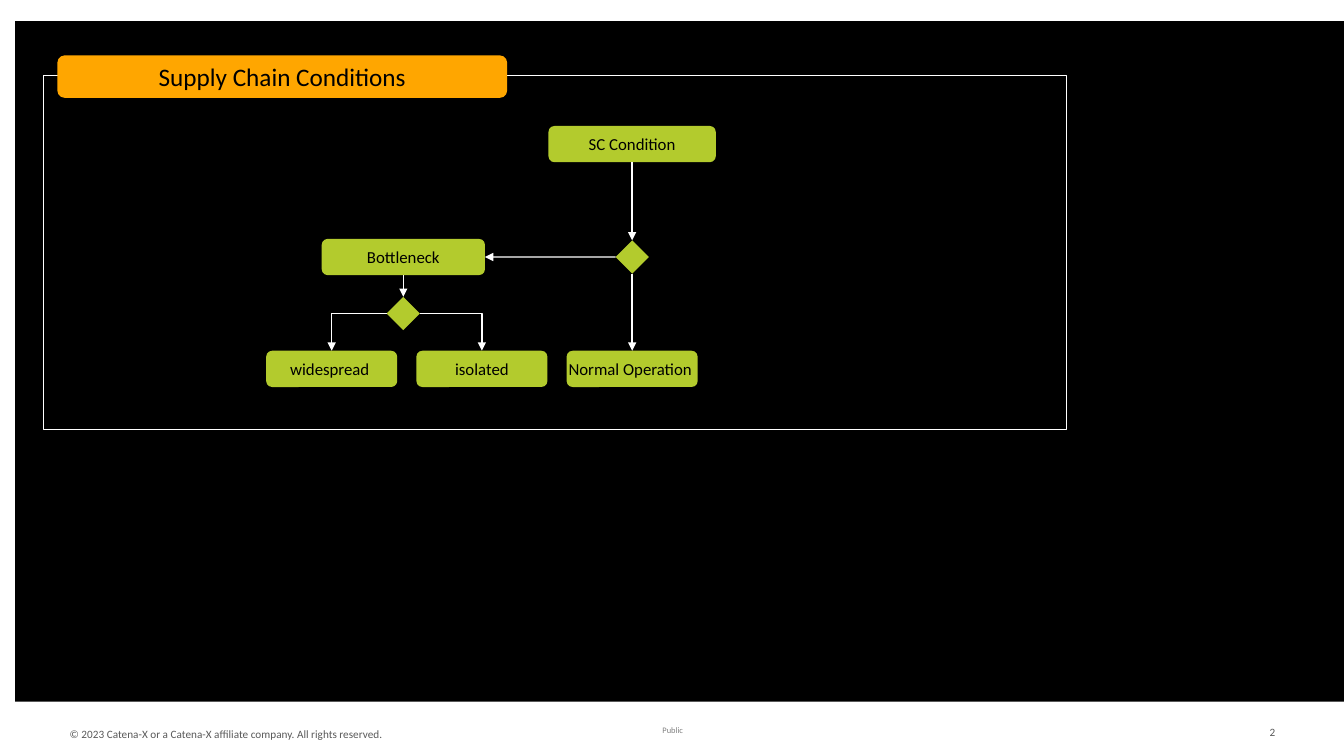
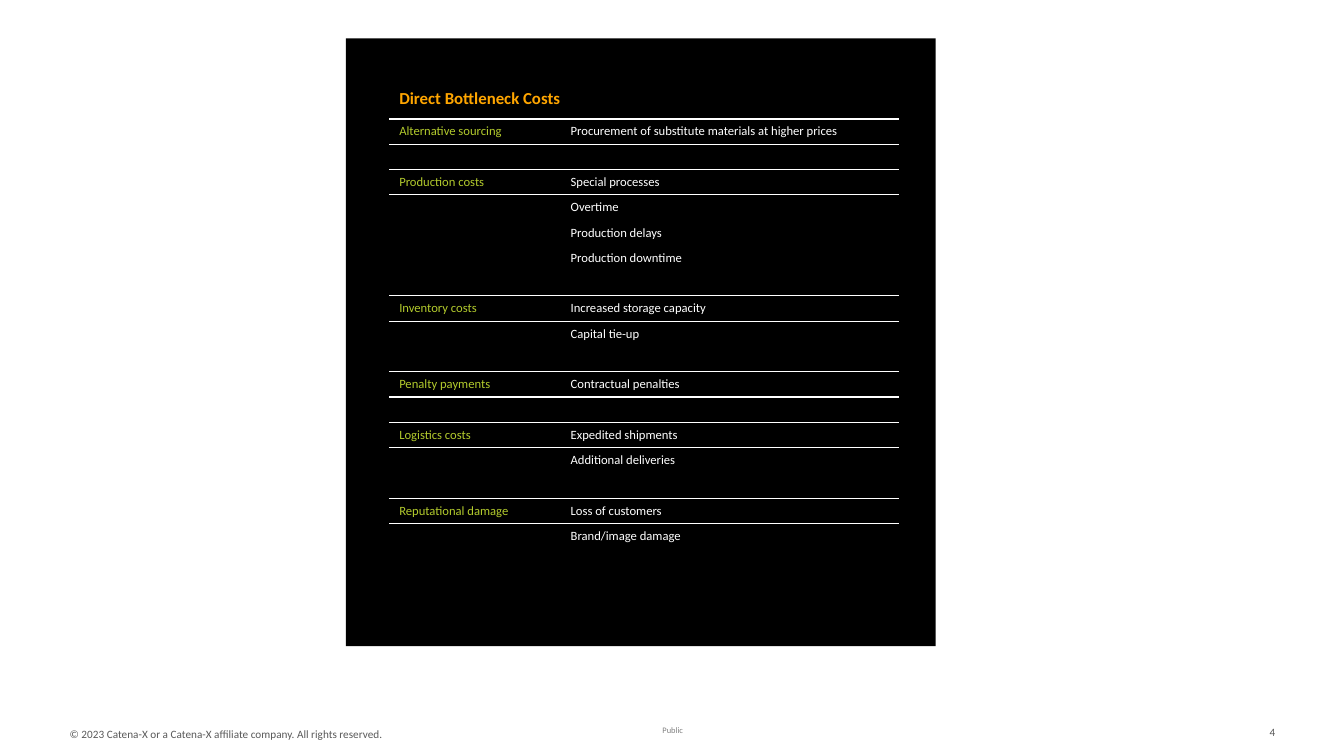
"""Build two slides on supply chain conditions and bottleneck costs."""
from lxml.etree import SubElement
from pptx import Presentation
from pptx.dml.color import RGBColor
from pptx.enum.shapes import MSO_CONNECTOR, MSO_SHAPE
from pptx.enum.text import MSO_ANCHOR, PP_ALIGN
from pptx.oxml import parse_xml
from pptx.oxml.ns import nsdecls, qn
from pptx.util import Inches, Pt

FONT = "Calibri"
HUES = {"black": "000000", "white": "FFFFFF", "orange": "FFA600",
        "green": "B3CB2D", "gray": "595959", "pale": "808080"}
PLAIN = "{2D5ABB26-0587-4C30-8999-92F81FD0307C}"
RIGHTS = "© 2023 Catena-X or a Catena-X affiliate company. All rights reserved."
TITLE = "Supply Chain Conditions"
NODES = {
    "root": ("SC Condition", 6.27, 1.43, 1.66),
    "state": ("", 6.27, 2.55, 0.33),
    "normal": ("Normal Operation ", 6.27, 3.66, 1.3),
    "neck": ("Bottleneck", 4, 2.55, 1.62),
    "reach": ("", 4, 3.11, 0.33),
    "wide": ("widespread ", 3.29, 3.66, 1.3),
    "single": ("isolated", 4.78, 3.66, 1.3),
}
TOP, LEFT, BOTTOM, RIGHT = range(4)
LINKS = [
    ("root", BOTTOM, "state", TOP),
    ("state", BOTTOM, "normal", TOP),
    ("state", LEFT, "neck", RIGHT),
    ("neck", BOTTOM, "reach", TOP),
    ("reach", LEFT, "wide", TOP),
    ("reach", RIGHT, "single", TOP),
]
HEAD = "Direct Bottleneck Costs"
COSTS = [
    ("Alternative sourcing",
     ["Procurement of substitute materials at higher prices"]),
    ("Production costs", ["Special processes", "Overtime",
                          "Production delays", "Production downtime"]),
    ("Inventory costs", ["Increased storage capacity", "Capital tie-up"]),
    ("Penalty payments", ["Contractual penalties"]),
    ("Logistics costs", ["Expedited shipments", "Additional deliveries"]),
    ("Reputational damage", ["Loss of customers", "Brand/image damage"]),
]
COLS = [1.7, 3.36]
HIGH, LOW = 0.35, 0.25


def hue(name):
    return RGBColor.from_string(HUES[name])


def write(frame, text, size=12, color="black", bold=False, align=PP_ALIGN.LEFT):
    para = frame.paragraphs[0]
    para.alignment = align
    if not text:
        para._p.get_or_add_endParaRPr().set("sz", str(size * 100))
        return
    run = para.add_run()
    run.text = text
    font = run.font
    font.name, font.size, font.bold = FONT, Pt(size), bold
    font.color.rgb = hue(color)


def label(slide, box, text, wrap=True, anchor=MSO_ANCHOR.MIDDLE, **form):
    frame = slide.shapes.add_textbox(*map(Inches, box)).text_frame
    frame.margin_left = frame.margin_right = 0
    frame.margin_top = frame.margin_bottom = 0
    frame.word_wrap, frame.vertical_anchor = wrap, anchor
    write(frame, text, **form)


def block(slide, kind, box, fill=None, line=None, text="", **form):
    shape = slide.shapes.add_shape(kind, *map(Inches, box))
    shape.shadow.inherit = False
    if fill:
        shape.fill.solid()
        shape.fill.fore_color.rgb = hue(fill)
    else:
        shape.fill.background()
    if line:
        shape.line.color.rgb = hue(line)
        shape.line.width = Pt(1)
    else:
        shape.line.fill.background()
    if text:
        frame = shape.text_frame
        frame.margin_left = frame.margin_right = 0
        frame.vertical_anchor = MSO_ANCHOR.MIDDLE
        write(frame, text, align=PP_ALIGN.CENTER, **form)
    return shape


def start(deck, panel, number):
    slide = deck.slides.add_slide(deck.slide_layouts[6])
    label(slide, (6.57, 7.19, 0.22, 0.1), "Public", wrap=False,
          anchor=MSO_ANCHOR.TOP, size=6, color="pale")
    block(slide, MSO_SHAPE.RECTANGLE, panel, "black")
    label(slide, (0.69, 7.1, 5.98, 0.36), RIGHTS, size=8, color="gray")
    label(slide, (9.65, 7.06, 3, 0.4), number, size=8, color="gray",
          align=PP_ALIGN.RIGHT)
    return slide


def link(slide, tail, exit, head, entry):
    bent = exit % 2 != entry % 2
    kind = MSO_CONNECTOR.ELBOW if bent else MSO_CONNECTOR.STRAIGHT
    line = slide.shapes.add_connector(kind, 0, 0, 0, 0)
    line.begin_connect(tail, exit)
    line.end_connect(head, entry)
    line.line.color.rgb = hue("white")
    line.line.width = Pt(1)
    props = line._element.spPr
    if bent:
        props.find(qn("a:prstGeom")).set("prst", "bentConnector2")
    SubElement(props.find(qn("a:ln")), qn("a:tailEnd"), type="triangle")
    SubElement(props, qn("a:effectLst"))


def flow(deck):
    slide = start(deck, (0.15, 0.21, 13.18, 6.75), "2")
    block(slide, MSO_SHAPE.RECTANGLE, (0.43, 0.75, 10.15, 3.51), line="white")
    block(slide, MSO_SHAPE.ROUNDED_RECTANGLE, (0.57, 0.55, 4.46, 0.42),
          "orange", text=TITLE, size=18)
    made = {}
    for name, (text, mid, row, wide) in NODES.items():
        kind = MSO_SHAPE.ROUNDED_RECTANGLE if text else MSO_SHAPE.DIAMOND
        high = 0.36 if text else wide
        box = (mid - wide / 2, row - high / 2, wide, high)
        made[name] = block(slide, kind, box, "green", text=text)
    for tail, exit, head, entry in LINKS:
        link(slide, made[tail], exit, made[head], entry)


def rule(cell, sides):
    props = cell._tc.get_or_add_tcPr()
    for spot, side in enumerate(sides):
        props.insert(spot, parse_xml(
            f'<a:ln{side} {nsdecls("a")} w="12700"><a:solidFill>'
            f'<a:srgbClr val="{HUES["white"]}"/></a:solidFill></a:ln{side}>'))


def costs(deck):
    slide = start(deck, (3.43, 0.38, 5.85, 6.03), "4")
    rows = [(HEAD, "")]
    for group, items in COSTS:
        names = [group] + [""] * len(items)
        rows += zip(names, items + [""])
    size = (sum(COLS), HIGH + LOW * (len(rows) - 1))
    table = slide.shapes.add_table(
        len(rows), len(COLS), *map(Inches, (3.86, 0.83, *size))).table
    table._tbl.tblPr.find(qn("a:tableStyleId")).text = PLAIN
    table.first_row = table.horz_banding = False
    for col, wide in zip(table.columns, COLS):
        col.width = Inches(wide)
    table.cell(0, 0).merge(table.cell(0, 1))
    for r, texts in enumerate(rows):
        table.rows[r].height = Inches(LOW if r else HIGH)
        sides = ["T"] if r and texts[0] else []
        if r + 1 < len(rows) and rows[r + 1][0]:
            sides.append("B")
        for c, text in enumerate(texts):
            cell = table.cell(r, c)
            cell.fill.background()
            rule(cell, sides)
            if r:
                write(cell.text_frame, text, size=9,
                      color="white" if c else "green")
            else:
                write(cell.text_frame, text, color="orange", bold=True)


def main():
    deck = Presentation()
    deck.slide_width, deck.slide_height = Inches(13.33), Inches(7.5)
    flow(deck)
    costs(deck)
    deck.save("out.pptx")


if __name__ == "__main__":
    main()
